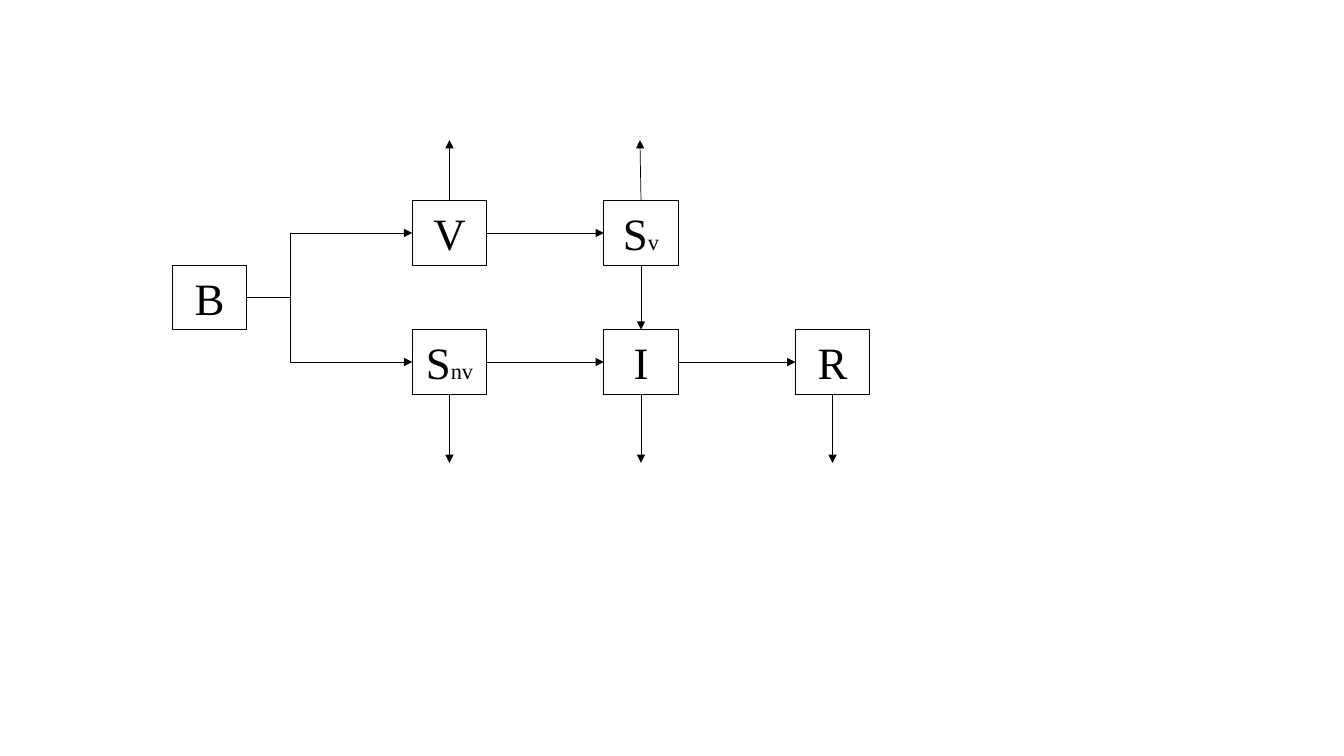
import pptx
import pptx.util
import pptx.dml.color
import pptx.enum.shapes
import pptx.enum.text
import pptx.oxml.ns
import lxml.etree

HUES = {"ink": "000000", "fill": "FFFFFF"}
FONT = "Times New Roman"
WIDE, HIGH = 0.735, 0.643
COLS = [1.71] + [4.09 + 1.9 * k for k in range(3)]
ROWS = [1.99 + 0.64 * k for k in range(3)]

NODES = {
    "Snv": ("S", "nv", 1, 2),
    "I": ("I", "", 2, 2),
    "R": ("R", "", 3, 2),
    "B": ("B", "", 0, 1),
    "V": ("V", "", 1, 0),
    "Sv": ("S", "v", 2, 0),
}
TOP, LEFT, BASE, RIGHT = range(4)
LINKS = [
    ("Snv", RIGHT, "I", LEFT),
    ("I", RIGHT, "R", LEFT),
    ("B", RIGHT, "Snv", LEFT),
    ("B", RIGHT, "V", LEFT),
    ("V", RIGHT, "Sv", LEFT),
    ("Sv", BASE, "I", TOP),
]
EXITS = [
    ("Snv", BASE, 0, 0.68),
    ("I", BASE, 0, 0.68),
    ("R", BASE, 0, 0.68),
    ("V", TOP, 0, -0.6),
    ("Sv", TOP, -0.01, -0.6),
]
BEND = 26700

inch = pptx.util.Inches
qn = pptx.oxml.ns.qn
LINE = pptx.enum.shapes.MSO_CONNECTOR.STRAIGHT
ELBOW = pptx.enum.shapes.MSO_CONNECTOR.ELBOW


def hue(name):
    return pptx.dml.color.RGBColor.from_string(HUES[name])


def write(par, text, size=32, color="ink"):
    run = par.add_run()
    run.text = text
    run.font.name = FONT
    run.font.size = pptx.util.Pt(size)
    run.font.color.rgb = hue(color)


def box(name, sub, col, row):
    node = slide.shapes.add_shape(
        pptx.enum.shapes.MSO_SHAPE.RECTANGLE,
        inch(COLS[col]), inch(ROWS[row]), inch(WIDE), inch(HIGH))
    node.shadow.inherit = False
    node.fill.solid()
    node.fill.fore_color.rgb = hue("fill")
    node.line.color.rgb = hue("ink")
    node.line.width = pptx.util.Pt(0.75)
    frame = node.text_frame
    frame.auto_size = pptx.enum.text.MSO_AUTO_SIZE.SHAPE_TO_FIT_TEXT
    par = frame.paragraphs[0]
    par.alignment = pptx.enum.text.PP_ALIGN.CENTER
    write(par, name)
    if sub:
        write(par, sub, size=16)
    return node


def port(node, side):
    x = node.left + node.width * (0.5, 0, 0.5, 1)[side]
    y = node.top + node.height * (0, 0.5, 1, 0.5)[side]
    return int(x), int(y)


def arrow(start, side, end, kind=LINE):
    link = slide.shapes.add_connector(kind, *port(start, side), *end)
    link.begin_connect(start, side)
    link.line.color.rgb = hue("ink")
    link.line.width = pptx.util.Pt(0.5)
    props = link._element.spPr
    tail = lxml.etree.SubElement(props.find(qn("a:ln")), qn("a:tailEnd"))
    tail.set("type", "triangle")
    lxml.etree.SubElement(props, qn("a:effectLst"))
    if kind == ELBOW:
        shape = props.find(qn("a:prstGeom"))
        bend = lxml.etree.SubElement(shape.find(qn("a:avLst")), qn("a:gd"))
        bend.set("name", "adj1")
        bend.set("fmla", f"val {BEND}")
    return link


deck = pptx.Presentation()
deck.slide_width, deck.slide_height = inch(13.33), inch(7.5)
slide = deck.slides.add_slide(deck.slide_layouts[6])
nodes = {key: box(*spec) for key, spec in NODES.items()}

for start, side, end, into in LINKS:
    kind = ELBOW if start == "B" else LINE
    link = arrow(nodes[start], side, port(nodes[end], into), kind)
    link.end_connect(nodes[end], into)

for name, side, across, down in EXITS:
    x, y = port(nodes[name], side)
    arrow(nodes[name], side, (x + inch(across), y + inch(down)))

deck.save("out.pptx")
